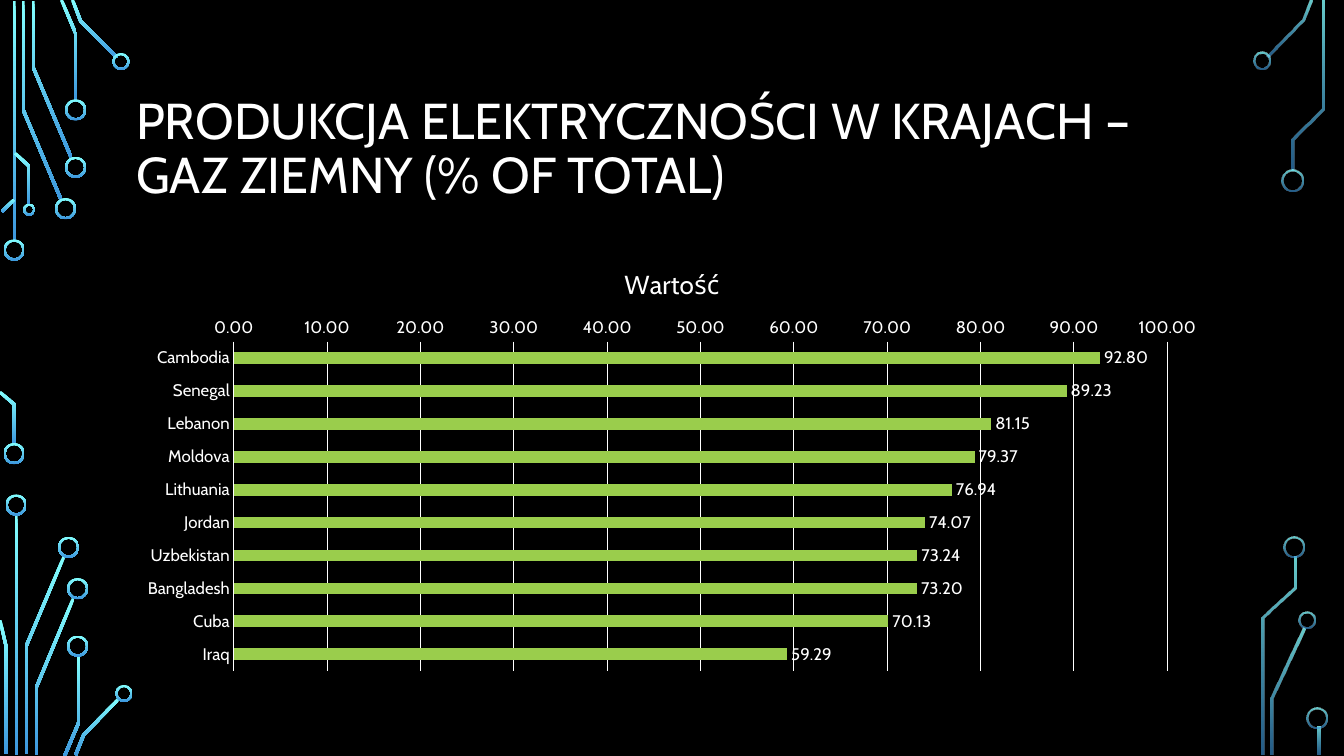
from math import hypot
from pptx import Presentation
from pptx.chart.data import CategoryChartData
from pptx.dml.color import RGBColor
from pptx.enum.chart import XL_CHART_TYPE as ChartType, XL_LABEL_POSITION as LabelPosition
from pptx.enum.chart import XL_TICK_MARK as TickMark
from pptx.enum.shapes import MSO_SHAPE as Preset
from pptx.enum.text import MSO_ANCHOR as Anchor, MSO_AUTO_SIZE as AutoSize, PP_ALIGN as Align
from pptx.oxml.xmlchemy import OxmlElement
from pptx.util import Inches, Pt

TITLE = "PRODUKCJA ELEKTRYCZNOŚCI W KRAJACH – GAZ ZIEMNY (% OF TOTAL)"
SERIES = "Wartość"
SHARES = {
    "Cambodia": 92.80, "Senegal": 89.23, "Lebanon": 81.15, "Moldova": 79.37,
    "Lithuania": 76.94, "Jordan": 74.07, "Uzbekistan": 73.24,
    "Bangladesh": 73.20, "Cuba": 70.13, "Iraq": 59.29,
}
FONT, WHITE, BLACK, GREEN = "Cabin", "FFFFFF", "000000", "9ACD4C"
GRADIENT = ("82FFFF", "3D97DE")
TRACE_WIDTH, RING_WIDTH = 0.03, 0.02

CIRCUITS = [
    {
        "opacity": (100, 100),
        "traces": [
            [(0.14, 0.01), (0.14, 2.4)],
            [(0.23, 0.01), (0.23, 1.09), (0.61, 1.99)],
            [(0.33, 0.01), (0.33, 0.67), (0.71, 1.57)],
            [(0.61, 0), (0.75, 0.33), (0.75, 1)],
            [(0.72, 0), (0.8, 0.21), (1.16, 0.57)],
            [(0.02, 2.1), (0.14, 1.98)],
            [(0, 3.89), (0.14, 4.01), (0.14, 4.41)],
            [(0.15, 1.52), (0.29, 1.65), (0.29, 2.03)],
            [(0.16, 5.1), (0.16, 7.49)],
            [(0.64, 5.51), (0.26, 6.41), (0.26, 7.48)],
            [(0, 6.15), (0.06, 6.41), (0.06, 7.48)],
            [(0.73, 5.93), (0.36, 6.82), (0.36, 7.49)],
            [(0.78, 6.5), (0.78, 7.17), (0.64, 7.5)],
            [(1.18, 6.93), (0.83, 7.29), (0.75, 7.49)],
        ],
        "rings": [
            (0.14, 2.48, 0.21), (0.14, 4.5, 0.21), (0.65, 2.07, 0.21),
            (0.75, 1.66, 0.21), (0.75, 1.09, 0.21), (1.2, 0.61, 0.17),
            (0.29, 2.08, 0.12), (0.16, 5.01, 0.21), (0.68, 5.43, 0.21),
            (0.77, 5.84, 0.21), (0.77, 6.41, 0.21), (1.23, 6.88, 0.17),
        ],
    },
    {
        "opacity": (80, 60),
        "traces": [
            [(13, 0), (12.92, 0.2), (12.57, 0.56)],
            [(12.93, 6.23), (12.62, 6.93), (12.62, 7.49)],
            [(13.12, 0.01), (13.12, 1.08), (12.82, 1.38), (12.82, 1.69)],
            [(12.84, 5.52), (12.84, 5.83), (12.53, 6.13), (12.53, 7.49)],
            [(13.08, 7.21), (13.08, 7.49)],
        ],
        "rings": [
            (12.52, 0.6, 0.17), (12.82, 1.79, 0.21), (12.96, 6.15, 0.17),
            (12.83, 5.43, 0.21), (13.06, 7.12, 0.21),
        ],
    },
]


def color(value):
    return RGBColor.from_string(value)


def apply(target, values):
    for name, value in values.items():
        setattr(target, name, value)


def style_font(font, size):
    apply(font, {"name": FONT, "size": Pt(size), "bold": False})
    font.color.rgb = color(WHITE)


def white_line(line):
    line.color.rgb = color(WHITE)
    line.width = Pt(0.75)


def paint(shape, opacity):
    shape.shadow.inherit = False
    shape.line.fill.background()
    shape.fill.gradient()
    shape.fill.gradient_angle = 270
    for stop, tone, percent in zip(shape.fill.gradient_stops, GRADIENT, opacity):
        stop.color.rgb = color(tone)
        if percent < 100:
            alpha = OxmlElement("a:alpha")
            alpha.set("val", str(percent * 1000))
            stop.color._xFill.append(alpha) if hasattr(stop.color._xFill, "val") else stop._gs[0].append(alpha)


def outline(points):
    normals = []
    for (x1, y1), (x2, y2) in zip(points, points[1:]):
        length = hypot(x2 - x1, y2 - y1)
        normals.append(((y1 - y2) / length, (x2 - x1) / length))
    before, after = normals[:1] + normals, normals + normals[-1:]
    left, right = [], []
    for (x, y), (ax, ay), (bx, by) in zip(points, before, after):
        reach = TRACE_WIDTH / 2 / (1 + ax * bx + ay * by)
        dx, dy = (ax + bx) * reach, (ay + by) * reach
        left.append((Inches(x + dx), Inches(y + dy)))
        right.append((Inches(x - dx), Inches(y - dy)))
    return left + right[::-1]


def add_trace(page, points, opacity):
    start, *rest = outline(points)
    builder = page.shapes.build_freeform(*start)
    builder.add_line_segments(rest, close=True)
    paint(builder.convert_to_shape(), opacity)


def add_ring(page, x, y, size, opacity):
    box = [Inches(v) for v in (x - size / 2, y - size / 2, size, size)]
    ring = page.shapes.add_shape(Preset.DONUT, *box)
    ring.adjustments[0] = RING_WIDTH / size
    paint(ring, opacity)


def add_title(page):
    title = page.shapes.title
    apply(title, {"left": Inches(1.25), "top": Inches(0.68),
                  "width": Inches(10.83), "height": Inches(1.62)})
    frame = title.text_frame
    apply(frame, {"text": TITLE, "word_wrap": True, "auto_size": AutoSize.NONE,
                  "vertical_anchor": Anchor.MIDDLE})
    para = frame.paragraphs[0]
    apply(para, {"alignment": Align.LEFT, "line_spacing": 0.9})
    style_font(para.runs[0].font, 36)


def add_share_chart(page):
    data = CategoryChartData(number_format="0.00")
    data.categories = list(SHARES)
    data.add_series(SERIES, list(SHARES.values()))
    box = [Inches(v) for v in (1.25, 2.46, 10.83, 4.28)]
    chart = page.shapes.add_chart(ChartType.BAR_CLUSTERED, *box, data).chart
    style_font(chart.font, 10)
    apply(chart, {"has_legend": False, "has_title": True})
    chart.chart_title.include_in_layout = False
    heading = chart.chart_title.text_frame
    heading.text = SERIES
    style_font(heading.paragraphs[0].runs[0].font, 18.6)

    names, values = chart.category_axis, chart.value_axis
    for axis in (names, values):
        apply(axis, {"major_tick_mark": TickMark.NONE, "minor_tick_mark": TickMark.NONE})
        style_font(axis.tick_labels.font, 12)
    names.reverse_order = True
    white_line(names.format.line)
    apply(values, {"minimum_scale": 0, "maximum_scale": 100, "major_unit": 10,
                   "has_major_gridlines": True})
    apply(values.tick_labels, {"number_format": "0.00", "number_format_is_linked": False})
    values.format.line.fill.background()
    white_line(values.major_gridlines.format.line)

    plot = chart.plots[0]
    apply(plot, {"gap_width": 182, "vary_by_categories": False})
    bars = plot.series[0]
    bars.format.fill.solid()
    bars.format.fill.fore_color.rgb = color(GREEN)
    labels = bars.data_labels
    apply(labels, {"show_value": True, "number_format": "0.00",
                   "number_format_is_linked": False, "position": LabelPosition.OUTSIDE_END})
    style_font(labels.font, 12)


def main():
    deck = Presentation()
    apply(deck, {"slide_width": Inches(13.33), "slide_height": Inches(7.5)})
    page = deck.slides.add_slide(deck.slide_layouts[5])
    page.background.fill.solid()
    page.background.fill.fore_color.rgb = color(BLACK)
    for circuit in CIRCUITS:
        for points in circuit["traces"]:
            add_trace(page, points, circuit["opacity"])
        for ring in circuit["rings"]:
            add_ring(page, *ring, circuit["opacity"])
    add_title(page)
    add_share_chart(page)
    deck.save("out.pptx")


if __name__ == "__main__":
    main()
